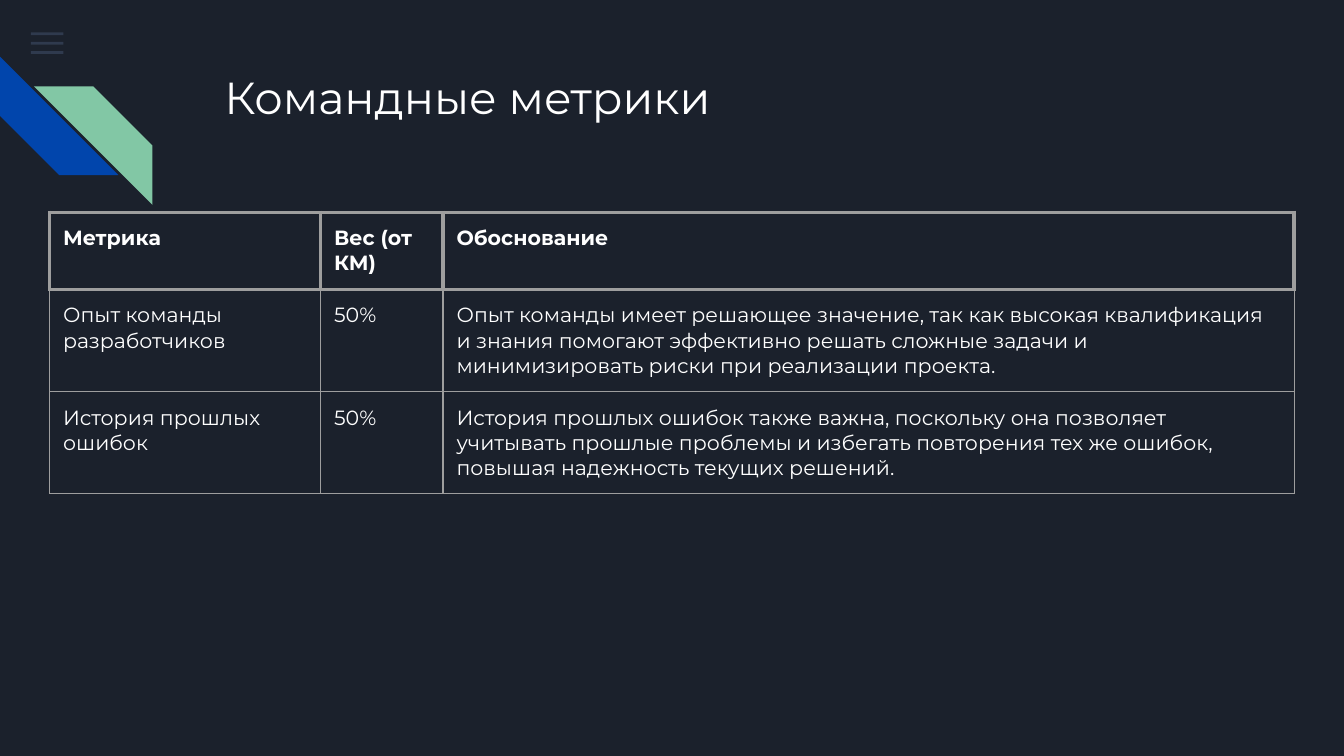
import dataclasses

import lxml.etree
import pptx
import pptx.dml.color
import pptx.enum.shapes
import pptx.enum.text
import pptx.oxml.ns
import pptx.util

Pt = pptx.util.Pt
Shape = pptx.enum.shapes.MSO_SHAPE
qn = pptx.oxml.ns.qn


@dataclasses.dataclass(frozen=True)
class Theme:
    font: str = "Montserrat"
    background: str = "1B212C"
    text: str = "FFFFFF"
    menu: str = "55688B"
    blue: str = "0145AC"
    green: str = "82C7A5"
    grid: str = "9E9E9E"
    title_size: float = 24
    table_size: float = 11
    inset: float = 7.2
    thick: float = 2.25
    thin: float = 0.75


def color(value):
    return pptx.dml.color.RGBColor.from_string(value)


class SlideBuilder:
    def __init__(self, deck, theme):
        self.theme = theme
        self.slide = deck.slides.add_slide(deck.slide_layouts[5])
        fill = self.slide.background.fill
        fill.solid()
        fill.fore_color.rgb = color(theme.background)

    def set_font(self, para, size, bold=False):
        para.font.name = self.theme.font
        para.font.size = Pt(size)
        para.font.bold = bold
        para.font.color.rgb = color(self.theme.text)

    def set_insets(self, holder):
        for side in ("left", "top", "right", "bottom"):
            setattr(holder, f"margin_{side}", Pt(self.theme.inset))

    def shape(self, kind, left, top, width, height, fill, opacity=100, rotation=0):
        shape = self.slide.shapes.add_shape(
            kind, Pt(left), Pt(top), Pt(width), Pt(height))
        shape.rotation = rotation
        shape.shadow.inherit = False
        shape.line.fill.background()
        shape.fill.solid()
        shape.fill.fore_color.rgb = color(fill)
        if opacity < 100:
            tint = shape.fill._xPr.find(".//" + qn("a:srgbClr"))
            lxml.etree.SubElement(tint, qn("a:alpha"), val=str(opacity * 1000))

    def title(self, text, left, top, width, height):
        box = self.slide.shapes.title
        box.left, box.top, box.width, box.height = map(Pt, (left, top, width, height))
        frame = box.text_frame
        frame.auto_size = pptx.enum.text.MSO_AUTO_SIZE.NONE
        frame.vertical_anchor = pptx.enum.text.MSO_ANCHOR.MIDDLE
        self.set_insets(frame)
        frame.text = text
        para = frame.paragraphs[0]
        para.alignment = pptx.enum.text.PP_ALIGN.LEFT
        self.set_font(para, self.theme.title_size)

    def cell_borders(self, cell, widths):
        properties = cell._tc.get_or_add_tcPr()
        for position, (side, width) in enumerate(widths.items()):
            line = lxml.etree.Element(qn(f"a:ln{side}"), w=str(Pt(width)))
            fill = lxml.etree.SubElement(line, qn("a:solidFill"))
            lxml.etree.SubElement(fill, qn("a:srgbClr"), val=self.theme.grid)
            properties.insert(position, line)

    def table(self, rows, left, top, column_widths, row_height):
        theme = self.theme
        table = self.slide.shapes.add_table(
            len(rows), len(column_widths), Pt(left), Pt(top),
            Pt(sum(column_widths)), Pt(row_height * len(rows))).table
        table.first_row = table.horz_banding = False
        for column, width in zip(table.columns, column_widths):
            column.width = Pt(width)
        for row_index, texts in enumerate(rows):
            header = row_index == 0
            widths = dict.fromkeys("LRTB", theme.thick if header else theme.thin)
            if row_index == 1:
                widths["T"] = theme.thick  # shared with the header row
            for column_index, text in enumerate(texts):
                cell = table.cell(row_index, column_index)
                cell.text = text
                cell.fill.background()
                self.set_insets(cell)
                self.set_font(cell.text_frame.paragraphs[0], theme.table_size, header)
                self.cell_borders(cell, widths)


def main():
    deck = pptx.Presentation()
    deck.slide_width, deck.slide_height = Pt(720), Pt(405)
    theme = Theme()
    page = SlideBuilder(deck, theme)

    # Menu icon
    for index in range(3):
        page.shape(Shape.RECTANGLE, 16.6, 17.4 + 5 * index, 17.4, 1.5,
                   theme.menu, opacity=36)

    # Corner stripes
    stripe = 63.5
    page.shape(Shape.DIAGONAL_STRIPE, 0, 30.3, stripe, stripe, theme.blue, rotation=270)
    page.shape(Shape.DIAGONAL_STRIPE, 18.2, 46.3, stripe, stripe, theme.green, rotation=90)

    # Title
    page.title("Командные метрики", 113, 29.5, 584, 44.6)

    # Metrics table
    page.table([
        ("Метрика", "Вес (от КМ)", "Обоснование"),
        ("Опыт команды разработчиков", "50%",
         "Опыт команды имеет решающее значение, так как высокая квалификация "
         "и знания помогают эффективно решать сложные задачи и "
         "минимизировать риски при реализации проекта."),
        ("История прошлых ошибок", "50%",
         "История прошлых ошибок также важна, поскольку она позволяет "
         "учитывать прошлые проблемы и избегать повторения тех же ошибок, "
         "повышая надежность текущих решений."),
    ], 26.6, 113.8, (145.2, 65.6, 456), 30)

    deck.save("out.pptx")


if __name__ == "__main__":
    main()
